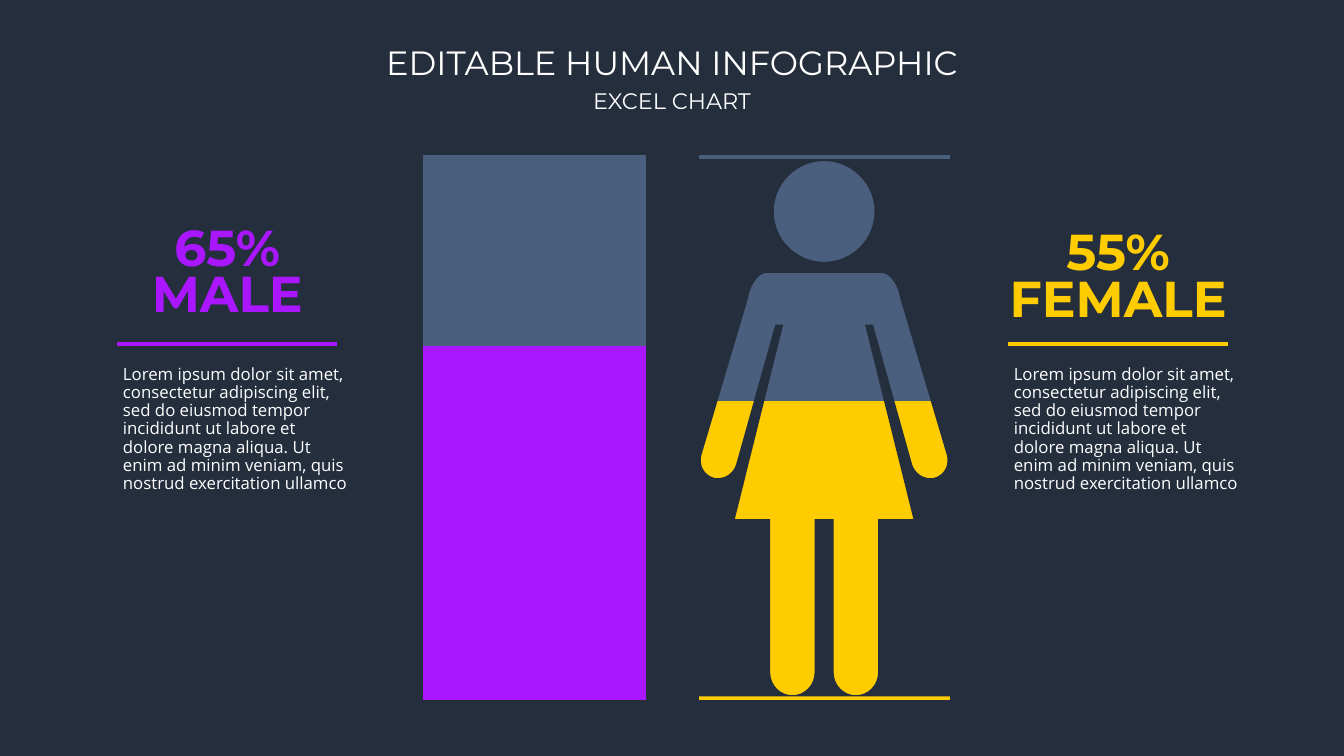
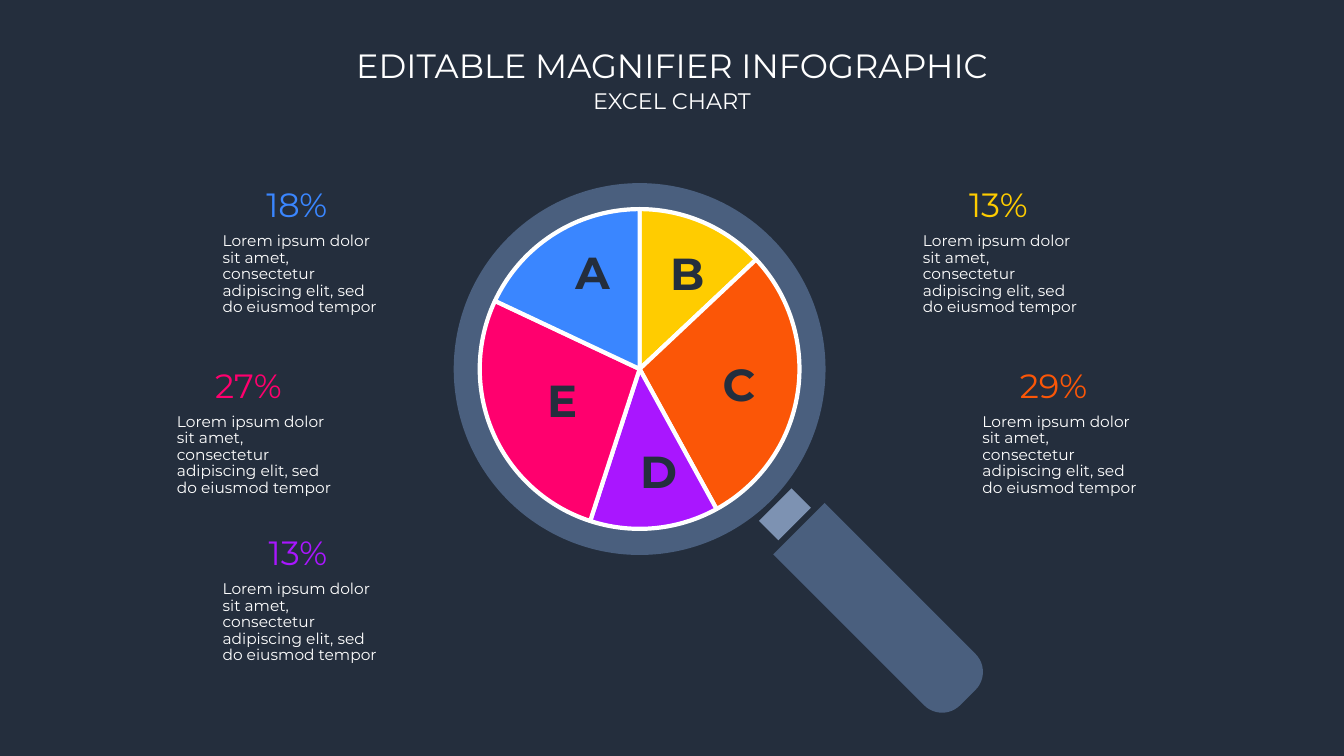
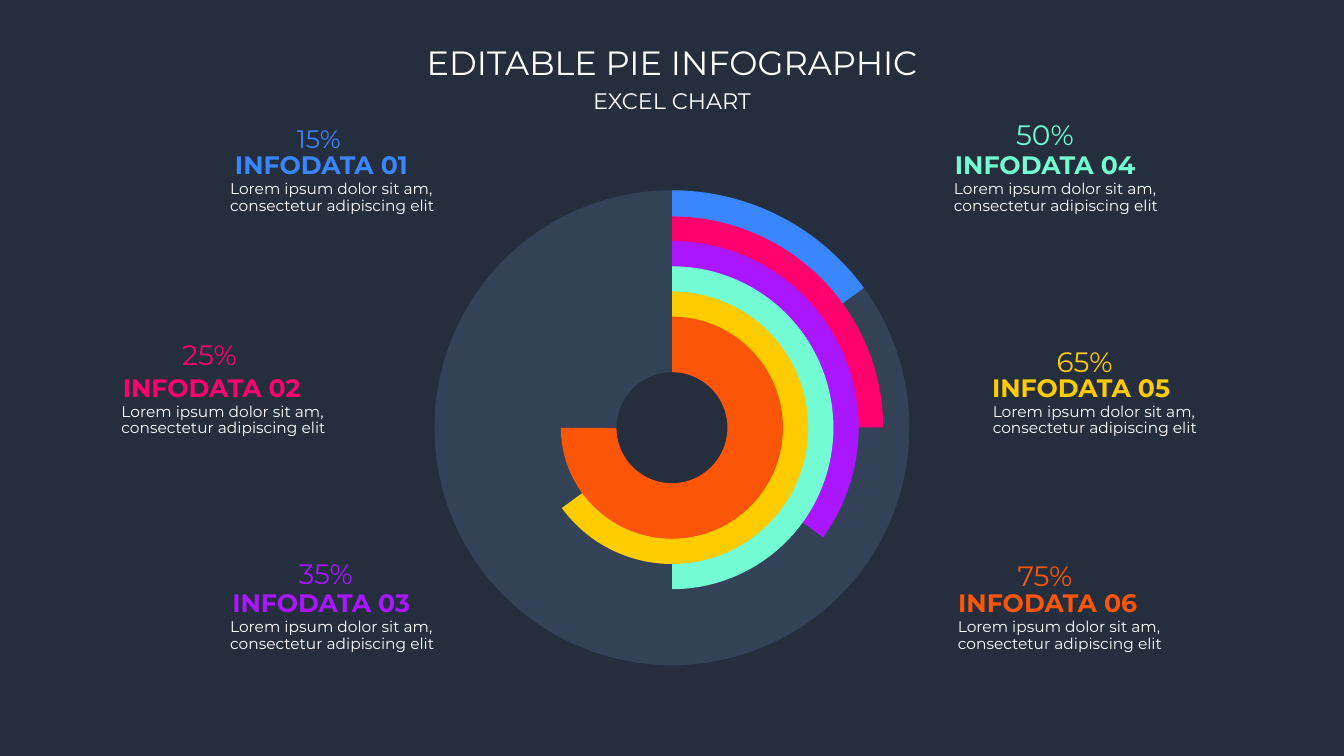
import pptx
import pptx.chart.data
import pptx.dml.color
import pptx.enum.chart
import pptx.enum.shapes
import pptx.enum.text
import pptx.oxml.ns
import pptx.util
from lxml import etree

Cm = pptx.util.Cm
Pt = pptx.util.Pt
qn = pptx.oxml.ns.qn
Align = pptx.enum.text.PP_ALIGN
ChartType = pptx.enum.chart.XL_CHART_TYPE
ShapeType = pptx.enum.shapes.MSO_SHAPE

WIDTH, HEIGHT = 33.87, 19.05
HEADING_FONT, BODY_FONT = "Montserrat", "Open Sans"
COLORS = {
    "background": "242E3D",
    "white": "FFFFFF",
    "slate": "4A5F7E",
    "steel": "7D92B2",
    "track": "334257",
    "purple": "A916FF",
    "yellow": "FFCC00",
    "orange": "FB5607",
    "pink": "FF006E",
    "blue": "3A86FF",
    "mint": "73FBD3",
}
FIT = {"word_wrap": False, "auto_size": pptx.enum.text.MSO_AUTO_SIZE.SHAPE_TO_FIT_TEXT}
WRAP = {"word_wrap": True, "auto_size": pptx.enum.text.MSO_AUTO_SIZE.NONE}
FLUSH = dict.fromkeys(("margin_left", "margin_top", "margin_right", "margin_bottom"), 0)
HEADER = {**FIT, "vertical_anchor": pptx.enum.text.MSO_ANCHOR.TOP}
CENTERED = {"alignment": Align.CENTER, "space_before": Pt(0)}
SPACED = {"line_spacing": 0.9, "space_before": Pt(10)}

SENTENCE = "Lorem ipsum dolor sit amet, consectetur adipiscing elit, sed do eiusmod tempor"
LONG_TEXT = SENTENCE + (
    " incididunt ut labore et dolore magna aliqua. Ut enim ad minim veniam, quis nostrud exercitation ullamco"
)
SHORT_TEXT = "Lorem ipsum dolor sit am, consectetur adipiscing elit"


def rgb(color):
    return pptx.dml.color.RGBColor.from_string(COLORS[color])


def apply(target, values):
    for name, value in values.items():
        setattr(target, name, value)


def paint(fill, color):
    fill.solid()
    fill.fore_color.rgb = rgb(color)


def format_font(font, size, color, name=HEADING_FONT, bold=False):
    apply(font, {"size": Pt(size), "name": name, "bold": bold})
    font.color.rgb = rgb(color)


def place(shape, left, top, width, height):
    apply(shape, {"left": Cm(left), "top": Cm(top), "width": Cm(width), "height": Cm(height)})


def write(shape, text, frame_format, paragraph_format, **font_format):
    apply(shape.text_frame, frame_format)
    paragraph = shape.text_frame.paragraphs[0]
    paragraph.text = text
    apply(paragraph, paragraph_format)
    format_font(paragraph.runs[0].font, **font_format)


def add_text(slide, box, text, frame_format=WRAP, paragraph_format=SPACED, **font_format):
    shape = slide.shapes.add_textbox(*map(Cm, box))
    write(shape, text, frame_format, paragraph_format, **font_format)


def add_slide(presentation, title, title_width, title_top=0.93):
    slide = presentation.slides.add_slide(presentation.slide_layouts[0])
    subtitle = slide.placeholders[1]
    place(slide.shapes.title, (WIDTH - title_width) / 2, title_top, title_width, 1.27)
    write(slide.shapes.title, title, HEADER, CENTERED, size=24, color="white")
    place(subtitle, (WIDTH - 4.65) / 2, 2.06, 4.65, 0.94)
    write(subtitle, "EXCEL CHART", HEADER, CENTERED, size=16, color="white")
    return slide


def finish_shape(shape, color):
    paint(shape.fill, color)
    shape.line.fill.background()
    shape.shadow.inherit = False


def add_shape(slide, kind, center, size, color, rotation=0, adjustments=()):
    (x, y), (width, height) = center, size
    box = (x - width / 2, y - height / 2, width, height)
    shape = slide.shapes.add_shape(kind, *map(Cm, box))
    shape.rotation = rotation
    for index, value in enumerate(adjustments):
        shape.adjustments[index] = value
    finish_shape(shape, color)


def add_rule(slide, left, top, length, color):
    connector = slide.shapes.add_connector(
        pptx.enum.shapes.MSO_CONNECTOR.STRAIGHT, Cm(left), Cm(top), Cm(left + length), Cm(top)
    )
    connector.line.width = Pt(3)
    connector.line.color.rgb = rgb(color)
    etree.SubElement(connector.element.spPr, qn("a:effectLst"))


def add_outline(slide, contours, color):
    builder = None
    for contour in contours:
        start, *rest = [(Cm(x), Cm(y)) for x, y in (segment[-1] for segment in contour)]
        if builder is None:
            builder = slide.shapes.build_freeform(*start, scale=1.0)
        else:
            builder.move_to(*start)
        builder.add_line_segments(rest, close=True)
    shape = builder.convert_to_shape()
    segments = [segment for contour in contours for segment in contour[1:]]
    lines = list(shape.element.iter(qn("a:lnTo")))
    for line, segment in zip(lines, segments):
        if len(segment) == 3:
            curve = etree.Element(qn("a:cubicBezTo"))
            for x, y in segment:
                etree.SubElement(curve, qn("a:pt"), x=str(Cm(x) - shape.left), y=str(Cm(y) - shape.top))
            line.getparent().replace(line, curve)
    finish_shape(shape, color)


def set_plot_area(chart, width, height):
    plot_area = chart.element.find(".//" + qn("c:plotArea"))
    for layout in plot_area.findall(qn("c:layout")):
        plot_area.remove(layout)
    layout = etree.Element(qn("c:layout"))
    plot_area.insert(0, layout)
    manual = etree.SubElement(layout, qn("c:manualLayout"))
    settings = {
        "layoutTarget": "inner",
        "xMode": "edge",
        "yMode": "edge",
        "x": (1 - width) / 2,
        "y": (1 - height) / 2,
        "w": width,
        "h": height,
    }
    for name, value in settings.items():
        text = value if isinstance(value, str) else f"{value:.4f}"
        etree.SubElement(manual, qn("c:" + name), val=text)


def add_chart(slide, kind, box, categories, series):
    data = pptx.chart.data.CategoryChartData()
    data.categories = categories
    for number, values in enumerate(series, 1):
        data.add_series(f"Series {number}", values)
    chart = slide.shapes.add_chart(kind, *map(Cm, box), data).chart
    apply(chart, {"has_legend": False, "has_title": False})
    format_font(chart.font, 10, "white")
    return chart


def add_level_chart(slide, box, percent, color, gap):
    chart = add_chart(slide, ChartType.COLUMN_STACKED_100, box, ["1"], [[percent], [100 - percent]])
    for axis in (chart.category_axis, chart.value_axis):
        apply(axis, {"visible": False, "has_major_gridlines": False})
    plot = chart.plots[0]
    apply(plot, {"gap_width": gap, "overlap": 100, "vary_by_categories": False})
    for series, series_color in zip(plot.series, (color, "slate")):
        paint(series.format.fill, series_color)
    set_plot_area(chart, 0.96, 0.96)


def add_round_chart(slide, kind, center, size, values, colors, border=None):
    (x, y), (width, height) = center, size
    box = (x - width / 2, y - height / 2, width, height)
    categories = [str(number) for number in range(1, len(values) + 1)]
    chart = add_chart(slide, kind, box, categories, [values])
    plot = chart.plots[0]
    plot.vary_by_categories = True
    for index, color in enumerate(colors):
        point_format = plot.series[0].points[index].format
        paint(point_format.fill, color)
        if border:
            point_format.line.width = Pt(3)
            point_format.line.color.rgb = rgb(border)
        else:
            point_format.line.fill.background()
    diameter = height - 0.7
    set_plot_area(chart, diameter / width, diameter / height)
    return chart


def add_ring(slide, center, size, percent, color, hole):
    chart = add_round_chart(
        slide, ChartType.DOUGHNUT, center, size, [percent, 100 - percent], [color, "track"]
    )
    chart.element.find(".//" + qn("c:holeSize")).set("val", str(hole))


def mirror(half):
    reverse = [[half[-1][-1]]]
    for before, segment in reversed(list(zip(half, half[1:]))):
        reverse.append([*reversed(segment[:-1]), before[-1]])
    return [[(-x, y) for x, y in segment] for segment in reverse]


def shift(contour, left, top=0):
    return [[(left + x, top + y) for x, y in segment] for segment in contour]


def add_woman_mask(slide):
    center, left, right, top, bottom = 20.77, 17.58, 23.95, 4.01, 17.55
    frame = [[(left, top)], [(right, top)], [(right, bottom)], [(left, bottom)]]
    radius, handle = 1.27, 0.7
    half_circle = [
        [(0, -radius)],
        [(handle, -radius), (radius, -handle), (radius, 0)],
        [(radius, handle), (handle, radius), (0, radius)],
    ]
    half_body = [
        [(1.46, 6.88)],
        [(1.66, 6.88), (1.87, 7.19), (1.92, 7.52)],
        [(3.09, 11.46)],
        [(3.16, 11.71), (3.04, 11.96), (2.78, 12.04)],
        [(2.55, 12.09), (2.3, 11.96), (2.22, 11.71)],
        [(1.23, 8.18)],
        [(1.03, 8.18)],
        [(2.25, 13.08)],
        [(1.36, 13.08)],
        [(1.36, 16.94)],
        [(1.36, 17.27), (1.1, 17.52), (0.8, 17.52)],
        [(0.5, 17.52), (0.24, 17.27), (0.24, 16.94)],
        [(0.24, 13.08)],
    ]
    head = shift(half_circle + mirror(half_circle)[1:], center, 5.33)
    body = shift(half_body + mirror(half_body), center)
    add_outline(slide, [frame, head, body], "background")


def add_gender_panel(slide, left, top, percent, word, word_width, color):
    center = left + 2.88
    for text, width, offset in ((f"{percent}%", 3.3, 0), (word, word_width, 1.17)):
        box = (center - width / 2, top + offset, width, 1.8)
        add_text(slide, box, text, FIT, CENTERED, size=36, color=color, bold=True)
    add_rule(slide, left + 0.11, 8.66, 5.54, color)
    add_text(slide, (left, 9.1, 6.22, 3.84), LONG_TEXT, size=12, color="white", name=BODY_FONT)


def build_human_slide(presentation):
    slide = add_slide(presentation, "EDITABLE HUMAN INFOGRAPHIC", 15.4)
    add_level_chart(slide, (6.15, 3.63, 14.63, 14.3), 65, "purple", 150)
    add_level_chart(slide, (12.43, 3.63, 16.69, 14.3), 55, "yellow", 153)
    add_woman_mask(slide)
    add_gender_panel(slide, 2.85, 5.31, 65, "MALE", 4.4, "purple")
    add_gender_panel(slide, 25.3, 5.43, 55, "FEMALE", 6.05, "yellow")


def build_magnifier_slide(presentation):
    slide = add_slide(presentation, "EDITABLE MAGNIFIER INFOGRAPHIC", 16.95, 1)
    lens = (16.12, 9.3)
    add_shape(slide, ShapeType.DONUT, lens, (9.37, 9.37), "slate", adjustments=[0.07])
    add_shape(slide, ShapeType.ROUND_2_SAME_RECTANGLE, (22.26, 15.45), (1.83, 6.02), "slate", 135, [0.35, 0])
    add_shape(slide, ShapeType.RECTANGLE, (19.78, 12.96), (1.16, 0.69), "steel", 135)
    parts = [
        (13, "yellow", "B", (16.64, 6.07), (23.01, 5.75)),
        (29, "orange", "C", (17.96, 8.86), (24.51, 10.3)),
        (13, "purple", "D", (15.88, 11.06), (5.36, 14.52)),
        (27, "pink", "E", (13.54, 9.27), (4.21, 10.3)),
        (18, "blue", "A", (14.25, 6.05), (5.36, 5.75)),
    ]
    percents, colors, *_ = zip(*parts)
    add_round_chart(slide, ChartType.PIE, lens, (16.87, 8.76), percents, colors, "white")
    for percent, color, letter, letter_corner, (left, top) in parts:
        add_text(slide, (left, top, 4.6, 2.24), SENTENCE, size=11, color="white")
        add_text(slide, (left + 0.8, top - 1.12, 2.34, 0.99), f"{percent}%", WRAP,
                 {**SPACED, "alignment": Align.RIGHT}, size=24, color=color)
        add_text(slide, (*letter_corner, 0.99, 1.63), letter, WRAP, CENTERED,
                 size=32, color="background", bold=True)


def build_pie_slide(presentation):
    slide = add_slide(presentation, "EDITABLE PIE INFOGRAPHIC", 13.35)
    rings = [
        (15, "blue", 89, (16.54, 12.67)),
        (25, "pink", 88, (14.83, 11.35)),
        (35, "purple", 86, (13.18, 10.11)),
        (50, "mint", 84, (12.62, 8.84)),
        (65, "yellow", 81, (11.35, 7.57)),
        (75, "orange", 75, (9.45, 6.3)),
    ]
    labels = [
        ((7.03, 3.07, 2.01), 18, (5.89, 3.76, 4.42), 5.55),
        ((4.29, 8.48, 1.98), 20, (3.06, 9.37, 4.55), 2.81),
        ((7.22, 14, 1.98), 20, (5.82, 14.81, 4.55), 5.55),
        ((25.04, 2.93, 2.59), 20, (24.04, 3.76, 4.6), 23.79),
        ((26.27, 8.64, 2.13), 20, (24.97, 9.37, 4.55), 24.77),
        ((25.27, 14.05, 2.13), 20, (24.12, 14.81, 4.57), 23.89),
    ]
    for percent, color, hole, size in rings:
        add_ring(slide, (WIDTH / 2, 10.78), size, percent, color, hole)
    for number, (ring, label) in enumerate(zip(rings, labels), 1):
        percent, color, *_ = ring
        percent_box, percent_size, name_box, text_left = label
        add_text(slide, (*percent_box, 1.5), f"{percent}%", WRAP,
                 {**SPACED, "alignment": Align.CENTER}, size=percent_size, color=color)
        add_text(slide, (*name_box, 0.76), f"INFODATA {number:02}", {**FIT, **FLUSH}, CENTERED,
                 size=18, color=color, bold=True)
        add_text(slide, (text_left, name_box[1] + 0.68, 5.74, 1.3), SHORT_TEXT, size=11, color="white")


def main():
    presentation = pptx.Presentation()
    apply(presentation, {"slide_width": Cm(WIDTH), "slide_height": Cm(HEIGHT)})
    paint(presentation.slide_master.background.fill, "background")
    build_human_slide(presentation)
    build_magnifier_slide(presentation)
    build_pie_slide(presentation)
    presentation.save("out.pptx")


if __name__ == "__main__":
    main()
